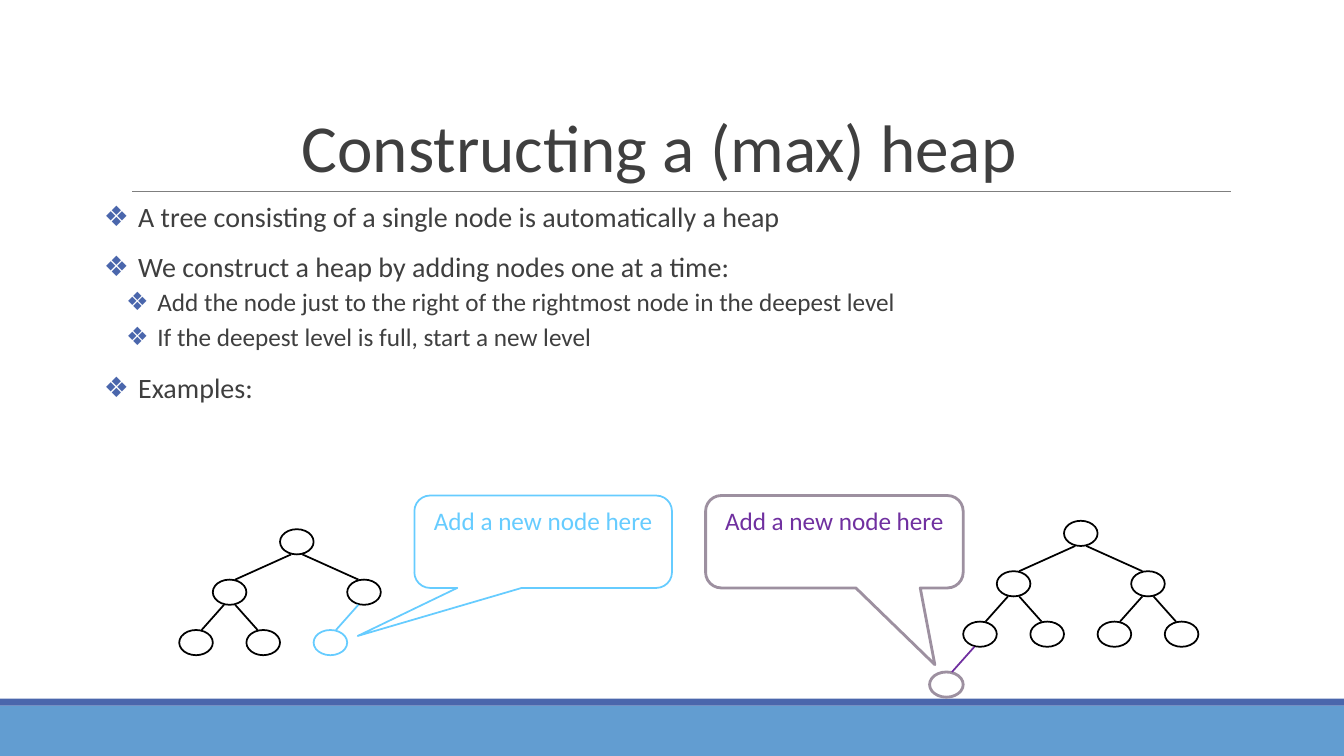
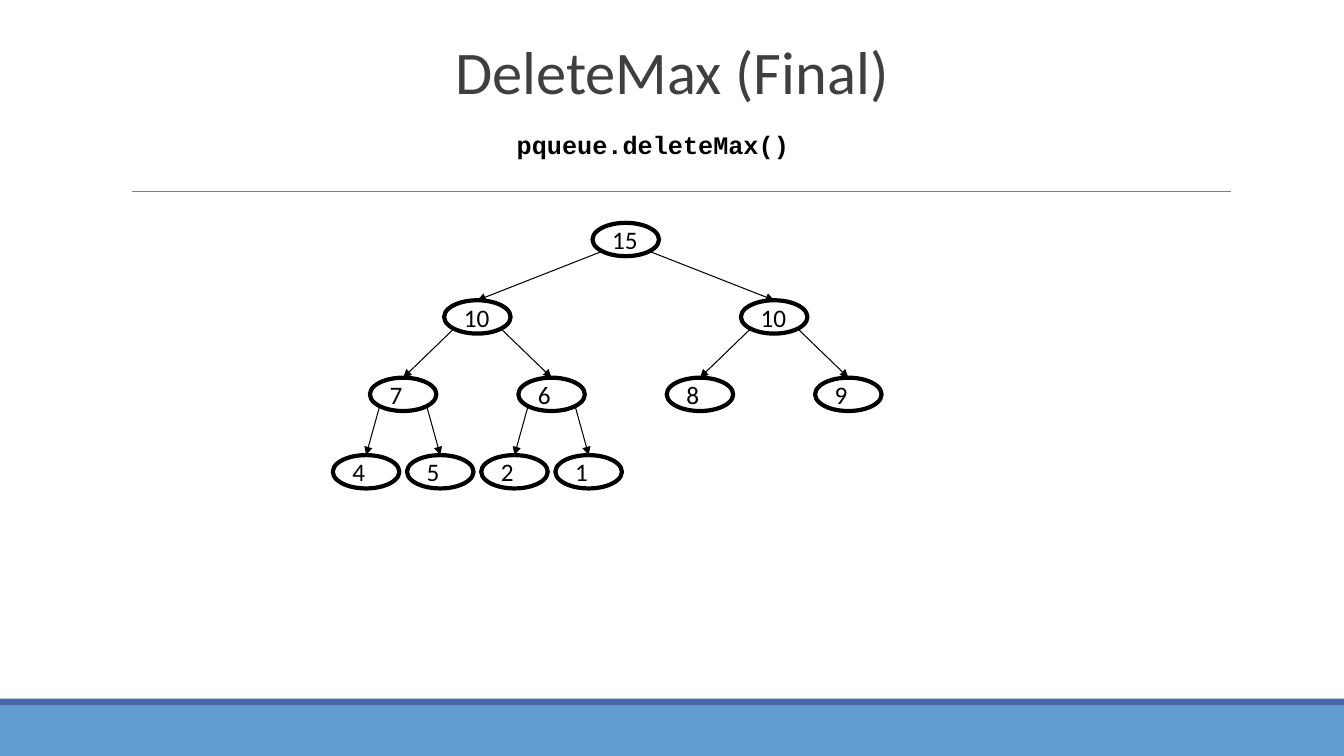
from lxml import etree
from pptx import Presentation
from pptx.dml.color import RGBColor
from pptx.enum.shapes import MSO_CONNECTOR, MSO_SHAPE
from pptx.enum.text import MSO_ANCHOR, MSO_AUTO_SIZE, PP_ALIGN
from pptx.oxml.ns import qn
from pptx.util import Pt

RECTANGLE, OVAL = MSO_SHAPE.RECTANGLE, MSO_SHAPE.OVAL
CALLOUT = MSO_SHAPE.ROUNDED_RECTANGULAR_CALLOUT
STRAIGHT = MSO_CONNECTOR.STRAIGHT
TOP, MIDDLE, BOTTOM = MSO_ANCHOR.TOP, MSO_ANCHOR.MIDDLE, MSO_ANCHOR.BOTTOM
LEFT, CENTER = PP_ALIGN.LEFT, PP_ALIGN.CENTER
NO_AUTOFIT = MSO_AUTO_SIZE.NONE

WHITE = RGBColor(0xFF, 0xFF, 0xFF)
BLACK = RGBColor(0, 0, 0)
DARK_GRAY = RGBColor(0x3F, 0x3F, 0x3F)
RULE_GRAY = RGBColor(0x7F, 0x7F, 0x7F)
BAND_BLUE = RGBColor(0x62, 0x9D, 0xD1)
ACCENT_BLUE = RGBColor(0x4A, 0x66, 0xAC)
SKY = RGBColor(0x66, 0xCC, 0xFF)
PURPLE = RGBColor(0x70, 0x30, 0xA0)
MAUVE = RGBColor(0x9D, 0x90, 0xA0)

TEXT_FONT, CODE_FONT = "Calibri", "Courier New"
SLIDE_WIDTH, SLIDE_HEIGHT = 960, 540
LAYOUT_CONTENT, LAYOUT_TITLE_ONLY = 1, 5

# Bullet formats by level
BULLETS = [
    {"size": 20, "margin": 24.5, "indent": -24.5},
    {"size": 18, "margin": 38.2, "indent": -22.3},
]

# Tree formats: spread is the sideways step to a child, level by level
SMALL_TREE = {
    "node": (24, 18), "pitch": 36, "spread": (48, 24, 24),
    "parent_offset": (4, 18), "child_offset": 4,
    "node_weight": 1.25, "edge_weight": 1.25, "arrows": False,
}
LARGE_TREE = {
    "node": (47.5, 23.8), "pitch": 55.3, "spread": (106, 53, 26.5),
    "parent_offset": (16.8, 20.3), "child_offset": 0,
    "node_weight": 3, "edge_weight": 0.75, "arrows": True,
}


def set_values(target, values):
    for name, value in values.items():
        setattr(target, name, value)


def points(*lengths):
    return [Pt(length) for length in lengths]


def write(paragraph, text, size, color, name=TEXT_FONT, bold=False):
    run = paragraph.add_run()
    run.text = text
    set_values(run.font, {"name": name, "size": Pt(size), "bold": bold})
    run.font.color.rgb = color


def set_frame(frame, anchor, side=7.2):
    set_values(frame, {
        "word_wrap": True, "auto_size": NO_AUTOFIT, "vertical_anchor": anchor,
        "margin_left": Pt(side), "margin_right": Pt(side),
        "margin_top": Pt(3.6), "margin_bottom": Pt(3.6),
    })


def place(shape, box):
    set_values(shape, dict(zip(("left", "top", "width", "height"), points(*box))))


def add_shape(shapes, kind, box, fill=None, line=None, weight=1.25):
    shape = shapes.add_shape(kind, *points(*box))
    shape.shadow.inherit = False
    if fill is None:
        shape.fill.background()
    else:
        shape.fill.solid()
        shape.fill.fore_color.rgb = fill
    if line is None:
        shape.line.fill.background()
    else:
        shape.line.color.rgb = line
        shape.line.width = Pt(weight)
    return shape


def add_line(shapes, start, end, color, weight, arrow=False):
    connector = shapes.add_connector(STRAIGHT, *points(*start, *end))
    connector.line.color.rgb = color
    connector.line.width = Pt(weight)
    if arrow:
        etree.SubElement(connector.line._get_or_add_ln(), qn("a:tailEnd"), type="triangle")
    etree.SubElement(connector._element.spPr, qn("a:effectLst"))
    return connector


def add_master_parts(presentation, slide):
    """Draw the bands and the title rule, then move them to the master."""
    band_top = 504
    parts = [
        add_shape(slide.shapes, RECTANGLE,
                  (0, band_top, SLIDE_WIDTH, SLIDE_HEIGHT - band_top), BAND_BLUE),
        add_shape(slide.shapes, RECTANGLE, (0, band_top - 5, SLIDE_WIDTH, 5), ACCENT_BLUE),
        add_line(slide.shapes, (94.5, 136.8), (879, 136.8), RULE_GRAY, 0.75),
    ]
    tree = presentation.slide_master.shapes._spTree
    for number, part in enumerate(parts):
        part._element.xpath(".//p:cNvPr")[0].set("id", str(100 + number))
        tree.insert(2 + number, part._element)


def add_title(slide, text, box, size):
    title = slide.shapes.title
    place(title, box)
    set_frame(title.text_frame, BOTTOM)
    paragraph = title.text_frame.paragraphs[0]
    set_values(paragraph, {"alignment": CENTER, "line_spacing": 0.85, "space_before": Pt(0)})
    write(paragraph, text, size, DARK_GRAY)


def add_bullets(slide, box, items):
    """Fill the body placeholder from (level, space before, text) items."""
    body = slide.placeholders[1]
    place(body, box)
    frame = body.text_frame
    set_frame(frame, TOP, side=0)
    for number, (level, space, text) in enumerate(items):
        paragraph = frame.add_paragraph() if number else frame.paragraphs[0]
        style = BULLETS[level]
        set_values(paragraph, {
            "level": level, "alignment": LEFT, "line_spacing": 0.9,
            "space_before": Pt(space), "space_after": Pt(0),
        })
        properties = paragraph._p.get_or_add_pPr()
        properties.set("marL", str(Pt(style["margin"])))
        properties.set("indent", str(Pt(style["indent"])))
        color = etree.SubElement(properties, qn("a:buClr"))
        etree.SubElement(color, qn("a:srgbClr"), val=str(ACCENT_BLUE))
        etree.SubElement(properties, qn("a:buChar"), char="❖")
        write(paragraph, text, style["size"], DARK_GRAY)


def add_tree(slide, root, labels, style, new_node=None):
    """Draw a heap below root (centre x, top); new_node formats its last node."""
    shapes = slide.shapes.add_group_shape().shapes
    width, height = style["node"]
    parent_dx, parent_dy = style["parent_offset"]
    places, nodes = {1: root}, {}

    # Nodes, numbered so that the parent of n is n // 2
    for number, label in enumerate(labels, 1):
        if number > 1:
            level = number.bit_length() - 1
            side = 1 if number % 2 else -1
            parent_x, parent_top = places[number // 2]
            places[number] = (parent_x + side * style["spread"][level - 1],
                              parent_top + style["pitch"])
        x, top = places[number]
        look = {"line": BLACK, "weight": style["node_weight"]}
        if new_node and number == len(labels):
            look = new_node["shape"]
        node = add_shape(shapes, OVAL, (x - width / 2, top, width, height), **look)
        nodes[number] = node
        if label:
            set_frame(node.text_frame, MIDDLE)
            paragraph = node.text_frame.paragraphs[0]
            paragraph.alignment = LEFT
            write(paragraph, label, 18, BLACK)

    # Edges
    for number in range(2, len(labels) + 1):
        side = 1 if number % 2 else -1
        parent_x, parent_top = places[number // 2]
        x, top = places[number]
        is_new = new_node and number == len(labels)
        edge = add_line(
            shapes, (parent_x + side * parent_dx, parent_top + parent_dy),
            (x - side * style["child_offset"], top),
            new_node["ink"] if is_new else BLACK, style["edge_weight"], style["arrows"])
        if not style["child_offset"]:
            edge.end_connect(nodes[number], 0)


def add_callout(slide, box, pointer, new_node):
    callout = add_shape(slide.shapes, CALLOUT, box, **new_node["shape"])
    for number, value in enumerate((*pointer, 0.17)):
        callout.adjustments[number] = value
    set_frame(callout.text_frame, TOP)
    paragraph = callout.text_frame.paragraphs[0]
    paragraph.alignment = CENTER
    write(paragraph, "Add a new node here", 18, new_node["ink"])


def add_code(slide, box, text):
    code = slide.shapes.add_textbox(*points(*box))
    set_frame(code.text_frame, TOP)
    write(code.text_frame.paragraphs[0], text, 18, BLACK, CODE_FONT, True)


def build_construction(slide):
    add_title(slide, "Constructing a (max) heap", (75, 22.4, 792, 114.4), 48)
    add_bullets(slide, (74.2, 141.8, 824, 276), [
        (0, 0, "A tree consisting of a single node is automatically a heap"),
        (0, 14, "We construct a heap by adding nodes one at a time:"),
        (1, 4, "Add the node just to the right of the rightmost node in the deepest level"),
        (1, 6, "If the deepest level is full, start a new level"),
        (0, 16, "Examples:"),
    ])
    same_level = {"ink": SKY, "shape": {"line": SKY, "weight": 1.25}}
    next_level = {"ink": PURPLE, "shape": {"fill": WHITE, "line": MAUVE, "weight": 2}}
    examples = [
        ((212, 378), 6, 296, (-0.72, 1.02), same_level),
        ((772, 372), 8, 504, (0.39, 1.33), next_level),
    ]
    for root, count, callout_left, pointer, new_node in examples:
        add_tree(slide, root, [""] * count, SMALL_TREE, new_node)
        add_callout(slide, (callout_left, 354, 184, 66), pointer, new_node)


def build_deletion(slide):
    add_title(slide, "DeleteMax (Final)", (72, 20, 816, 60), 43.2)
    values = "15 10 10 7 6 8 9 4 5 2 1".split()
    add_tree(slide, (447, 159.2), values, LARGE_TREE)
    add_code(slide, (362, 88.6, 210, 29), "pqueue.deleteMax()")


def main():
    presentation = Presentation()
    presentation.slide_width, presentation.slide_height = points(SLIDE_WIDTH, SLIDE_HEIGHT)
    layouts = presentation.slide_layouts
    construction = presentation.slides.add_slide(layouts[LAYOUT_CONTENT])
    add_master_parts(presentation, construction)
    build_construction(construction)
    build_deletion(presentation.slides.add_slide(layouts[LAYOUT_TITLE_ONLY]))
    presentation.save("out.pptx")


if __name__ == "__main__":
    main()
